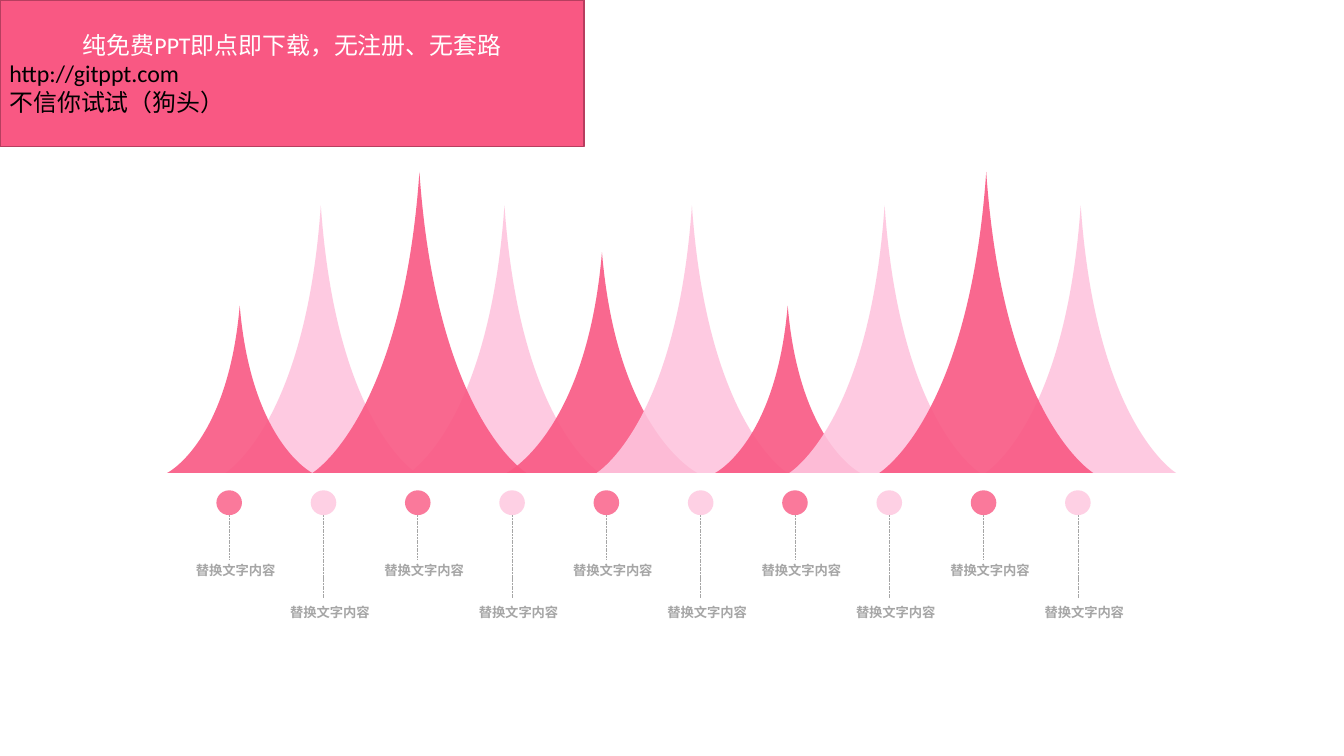
from dataclasses import dataclass

from lxml import etree
from pptx import Presentation
from pptx import util as u
from pptx.dml.color import RGBColor
from pptx.enum import dml, shapes, text
from pptx.oxml.ns import qn


@dataclass(frozen=True)
class Theme:
    rose: str = "F95883"
    blush: str = "FEC5DE"
    wine: str = "B73E5F"
    grey: str = "A6A6A6"
    white: str = "FFFFFF"
    black: str = "000000"
    label_font: str = "Arial"
    label_size: float = 10
    banner_font: str = "Calibri"
    banner_size: float = 18
    stem_width: float = 0.5
    border_width: float = 1
    peak_opacity: int = 90
    dot_opacity: int = 80


class SlideBuilder:
    def __init__(self, slide, theme):
        self.slide = slide
        self.theme = theme
        self.target = slide.shapes

    def start_group(self):
        self.target = self.slide.shapes.add_group_shape().shapes

    def end_group(self):
        self.target = self.slide.shapes

    def paint(self, shape, color, opacity=100):
        shape.shadow.inherit = False
        shape.line.fill.background()
        shape.fill.solid()
        shape.fill.fore_color.rgb = RGBColor.from_string(color)
        if opacity < 100:
            color_element = shape.element.spPr.find(qn("a:solidFill"))[0]
            etree.SubElement(color_element, qn("a:alpha")).set("val", str(opacity * 1000))

    def add_run(self, paragraph, words, font, size, color, bold=False):
        run = paragraph.add_run()
        run.text = words
        run.font.name = font
        run.font.size = u.Pt(size)
        run.font.bold = bold
        run.font.color.rgb = RGBColor.from_string(color)

    def peak(self, left, base, width, height, color):
        # Triangle first, then both flanks are bent into cubic curves
        right_x, base_y = u.Cm(left + width), u.Cm(base)
        builder = self.target.build_freeform(right_x, base_y)
        tip = (u.Cm(left + width / 2), u.Cm(base - height))
        builder.add_line_segments([tip, (u.Cm(left), base_y)], close=True)
        shape = builder.convert_to_shape()
        flanks = [[(1, 1), (0.58, 0.82), (0.5, 0)], [(0.42, 0.82), (0, 1), (0, 1)]]
        segments = list(shape.element.spPr.iter(qn("a:lnTo")))
        for segment, flank in zip(segments, flanks):
            curve = etree.Element(qn("a:cubicBezTo"))
            for x, y in flank:
                point = etree.SubElement(curve, qn("a:pt"))
                point.set("x", str(round(x * shape.width)))
                point.set("y", str(round(y * shape.height)))
            segment.getparent().replace(segment, curve)
        self.paint(shape, color, self.theme.peak_opacity)

    def dot(self, center, top, width, height, color):
        shape = self.target.add_shape(
            shapes.MSO_SHAPE.OVAL, u.Cm(center - width / 2), u.Cm(top),
            u.Cm(width), u.Cm(height))
        self.paint(shape, color, self.theme.dot_opacity)

    def stem(self, x, top, bottom):
        connector = self.target.add_connector(
            shapes.MSO_CONNECTOR.STRAIGHT, u.Cm(x), u.Cm(top), u.Cm(x), u.Cm(bottom))
        connector.line.color.rgb = RGBColor.from_string(self.theme.grey)
        connector.line.width = u.Pt(self.theme.stem_width)
        connector.line.dash_style = dml.MSO_LINE.SQUARE_DOT
        etree.SubElement(connector.element.spPr, qn("a:effectLst"))

    def label(self, words, center, top, width, height):
        box = self.target.add_textbox(
            u.Cm(center - width / 2), u.Cm(top), u.Cm(width), u.Cm(height))
        frame = box.text_frame
        frame.margin_left = frame.margin_right = 0
        frame.margin_top = frame.margin_bottom = 0
        frame.word_wrap = False
        frame.auto_size = text.MSO_AUTO_SIZE.SHAPE_TO_FIT_TEXT
        paragraph = frame.paragraphs[0]
        paragraph.alignment = text.PP_ALIGN.CENTER
        paragraph.line_spacing = 1.2
        self.add_run(paragraph, words, self.theme.label_font, self.theme.label_size,
                     self.theme.grey, bold=True)

    def banner(self, lines, width, height):
        shape = self.target.add_shape(
            shapes.MSO_SHAPE.RECTANGLE, 0, 0, u.Cm(width), u.Cm(height))
        self.paint(shape, self.theme.rose)
        shape.line.color.rgb = RGBColor.from_string(self.theme.wine)
        shape.line.width = u.Pt(self.theme.border_width)
        frame = shape.text_frame
        frame.word_wrap = True
        frame.vertical_anchor = text.MSO_ANCHOR.MIDDLE
        for index, (words, color, alignment) in enumerate(lines):
            paragraph = frame.add_paragraph() if index else frame.paragraphs[0]
            paragraph.alignment = alignment
            self.add_run(paragraph, words, self.theme.banner_font,
                         self.theme.banner_size, color)


def main():
    presentation = Presentation()
    presentation.slide_width, presentation.slide_height = u.Cm(35.71), u.Cm(20.09)
    slide = presentation.slides.add_slide(presentation.slide_layouts[6])
    theme = Theme()
    builder = SlideBuilder(slide, theme)

    # Peaks from back to front: left edge and kind (width, height, colour)
    pale = (5.07, 7.11, theme.blush)
    small = (3.86, 4.45, theme.rose)
    middle = (5.07, 5.87, theme.rose)
    tall = (5.69, 8, theme.rose)
    peaks = [(5.99, pale), (10.87, pale), (4.44, small), (8.3, tall), (13.46, middle),
             (15.85, pale), (19, small), (20.97, pale), (26.18, pale), (23.36, tall)]
    for left, (width, height, color) in peaks:
        builder.peak(left, 12.57, width, height, color)

    # Markers: short rose and long blush ones in turn
    marker_kinds = [(theme.rose, 14.86, 14.87), (theme.blush, 15.9, 15.98)]
    first_center, last_center, marker_count = 6.09, 28.64, 10
    pitch = (last_center - first_center) / (marker_count - 1)
    for index in range(marker_count):
        color, stem_bottom, label_top = marker_kinds[index % 2]
        center = first_center + pitch * index
        builder.start_group()
        builder.dot(center, 13.03, 0.68, 0.66, color)
        builder.stem(center, 13.69, stem_bottom)
        builder.label("替换文字内容", center + 0.17, label_top, 2.11, 0.51)
    builder.end_group()

    # Banner in the top left corner
    builder.banner([
        ("纯免费PPT即点即下载，无注册、无套路", theme.white, text.PP_ALIGN.CENTER),
        ("http://gitppt.com", theme.black, text.PP_ALIGN.LEFT),
        ("不信你试试（狗头）", theme.black, text.PP_ALIGN.LEFT),
    ], 15.52, 3.89)

    presentation.save("out.pptx")


if __name__ == "__main__":
    main()
